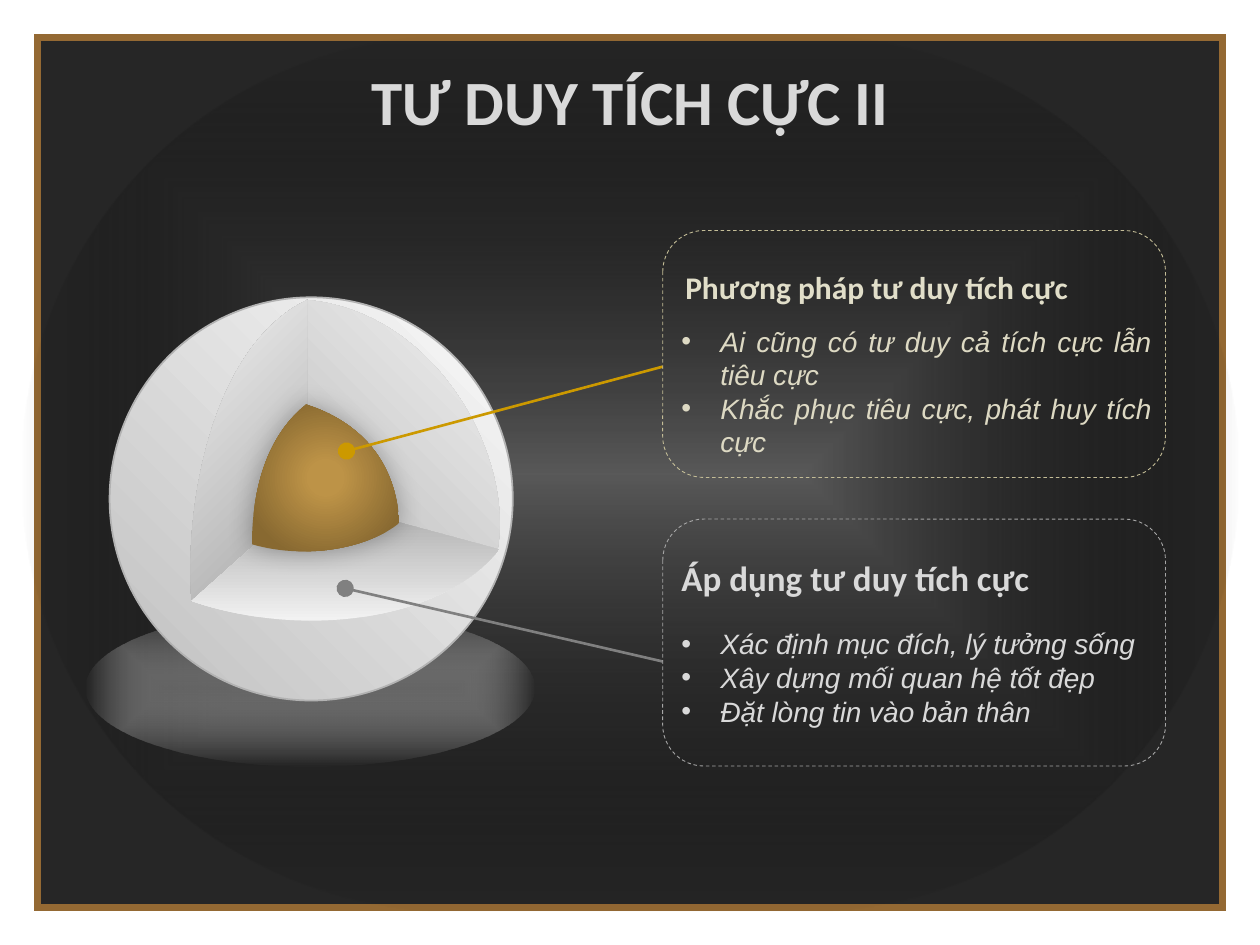
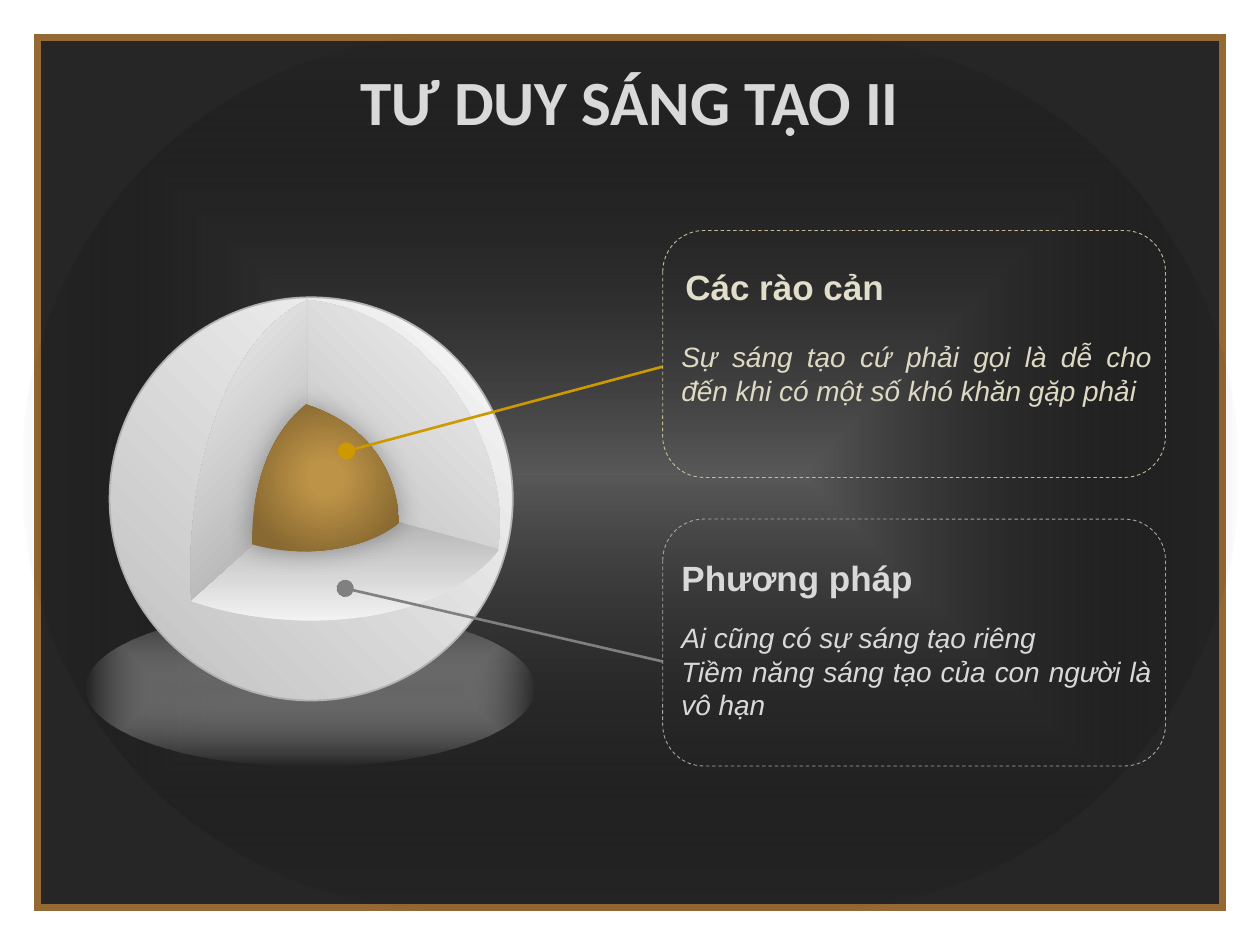
import pptx
import pptx.dml.color
import pptx.enum.dml
import pptx.enum.shapes
import pptx.enum.text
import pptx.oxml
import pptx.oxml.ns
import pptx.util

Inches = pptx.util.Inches
qn = pptx.oxml.ns.qn
SHAPES = pptx.enum.shapes.MSO_SHAPE
ALIGN = pptx.enum.text.PP_ALIGN

LIGHT = "D9D9D9"
SPHERE_BOX = (0.68, 2.36)
CALLOUT_LEFT, CALLOUT_WIDTH, CALLOUT_HEIGHT = 5.26, 3.99, 1.96

UPPER = {
    "top": 1.83, "outline": "C4BD97", "heading_color": "E1DEC9", "body_color": "DDD9C3",
    "heading_box": (0.08, 0.28, 3.58, 0.33), "body_height": 1.01,
    "pointer": "CC9900", "target": (2.75, 3.58), "pointer_end": 1.08,
}
LOWER = {
    "top": 4.12, "outline": "A6A6A6", "heading_color": LIGHT, "body_color": LIGHT,
    "heading_box": (0.05, 0.32, 3.61, 0.29), "body_height": 1.07,
    "pointer": "808080", "target": (2.74, 4.67), "pointer_end": 1.13,
}

WALLS = [
    ((1.75, 0.02), [[(2.77, 0.11), (3.4, 1.24), (3.27, 2)], [(1.75, 1.59)]], "BFBFBF", "F2F2F2", 315),
    ((1.76, 0.02), [[(1.01, 0.38), (0.78, 1.63), (0.84, 2.41)], [(1.76, 1.59)]], "A6A6A6", "F2F2F2", 225),
    ((1.76, 1.59), [[(3.28, 2)], [(2.86, 2.54), (1.78, 2.73), (0.84, 2.41)]], "F2F2F2", "A6A6A6", 270),
]
CORE_START = (1.75, 0.85)
CORE_SEGMENTS = [
    [(2.27, 1.02), (2.47, 1.4), (2.49, 1.79)],
    [(2.26, 1.98), (1.77, 2.09), (1.32, 1.96)],
    [(1.32, 1.61), (1.4, 1.13), CORE_START],
]

SLIDES = [
    {
        "title": "TƯ DUY TÍCH CỰC II",
        "callouts": [
            (UPPER, "Phương pháp tư duy tích cực", "Calibri", 18, 0.77, True,
             ["Ai cũng có tư duy cả tích cực lẫn tiêu cực",
              "Khắc phục tiêu cực, phát huy tích cực"]),
            (LOWER, "Áp dụng tư duy tích cực", "Calibri", 20, 0.72, True,
             ["Xác định mục đích, lý tưởng sống",
              "Xây dựng mối quan hệ tốt đẹp",
              "Đặt lòng tin vào bản thân"]),
        ],
    },
    {
        "title": "TƯ DUY SÁNG TẠO II",
        "callouts": [
            (UPPER, "Các rào cản", "Arial", 20, 0.63, False,
             ["Sự sáng tạo cứ phải gọi là dễ cho đến khi có một số khó khăn gặp phải"]),
            (LOWER, "Phương pháp", "Arial", 20, 0.67, False,
             ["Ai cũng có sự sáng tạo riêng",
              "Tiềm năng sáng tạo của con người là vô hạn"]),
        ],
    },
]


def rgb(color):
    return pptx.dml.color.RGBColor.from_string(color)


def add_xml(parent, xml):
    wrapper = pptx.oxml.parse_xml(f'<a:wrapper {pptx.oxml.ns.nsdecls("a")}>{xml}</a:wrapper>')
    element = wrapper[0]
    parent.append(element)
    return element


def set_gradient(shape, stops, angle=None, kind=None):
    shape.fill.gradient()
    gradient = shape._element.spPr.find(qn("a:gradFill"))
    gradient.clear()
    stop_xml = "".join(
        f'<a:gs pos="{position * 1000}"><a:srgbClr val="{color}">'
        f'<a:alpha val="{opacity * 1000}"/></a:srgbClr></a:gs>'
        for position, color, opacity in stops)
    add_xml(gradient, f"<a:gsLst>{stop_xml}</a:gsLst>")
    if kind:
        add_xml(gradient, f'<a:path path="{kind}"><a:fillToRect l="50000" t="50000" '
                          'r="50000" b="50000"/></a:path>')
    else:
        add_xml(gradient, f'<a:lin ang="{angle * 60000}" scaled="0"/>')


def set_line(shape, color=None, width=1):
    if color is None:
        shape.line.fill.background()
    else:
        shape.line.color.rgb = rgb(color)
        shape.line.width = pptx.util.Pt(width)


def add_preset(slide, preset, box, line=None, width=1):
    shape = slide.shapes.add_shape(preset, *map(Inches, box))
    shape.shadow.inherit = False
    shape.fill.background()
    set_line(shape, line, width)
    return shape


def add_text(slide, box, lines, font_name, size, color, align=ALIGN.LEFT,
             bold=False, italic=False, bullets=False, tight=False):
    frame = slide.shapes.add_textbox(*map(Inches, box)).text_frame
    frame.word_wrap = True
    frame.vertical_anchor = pptx.enum.text.MSO_ANCHOR.MIDDLE
    if tight:
        frame.margin_top = frame.margin_bottom = 0
    frame.text = "\n".join(lines)
    for paragraph in frame.paragraphs:
        paragraph.alignment = align
        if bullets:
            properties = paragraph._p.get_or_add_pPr()
            properties.set("marL", str(Inches(0.31)))
            properties.set("indent", str(-Inches(0.31)))
            add_xml(properties, '<a:buFont typeface="Arial"/>')
            add_xml(properties, '<a:buChar char="•"/>')
        font = paragraph.font
        font.name, font.size = font_name, pptx.util.Pt(size)
        font.bold, font.italic = bold, italic
        font.color.rgb = rgb(color)


def axis_bounds(start, segments, axis):
    values, current = [start[axis]], start
    for segment in segments:
        if len(segment) == 3:
            a, b, c, d = (point[axis] for point in (current, *segment))
            for t in (step / 100 for step in range(101)):
                values.append((1 - t) ** 3 * a + 3 * t * (1 - t) ** 2 * b + 3 * t * t * (1 - t) * c + t ** 3 * d)
        current = segment[-1]
        values.append(current[axis])
    return min(values), max(values)


def curve_outline(shape, segments, left, top, width, height):
    shift_x, shift_y = shape.left - left, shape.top - top
    outline = next(shape._element.iter(qn("a:path")))
    for point in outline.iter(qn("a:pt")):
        point.set("x", str(int(point.get("x")) + shift_x))
        point.set("y", str(int(point.get("y")) + shift_y))
    outline.set("w", str(width))
    outline.set("h", str(height))
    shape.left, shape.top, shape.width, shape.height = left, top, width, height
    lines = iter(outline.findall(qn("a:lnTo")))
    for segment in segments:
        first = next(lines)
        if len(segment) == 3:
            curve = add_xml(outline, "<a:cubicBezTo/>")
            first.addprevious(curve)
            for line in (first, next(lines), next(lines)):
                curve.append(line[0])
                outline.remove(line)


def add_outline(slide, origin, start, segments):
    def place(point):
        return tuple(Inches(offset + value) for offset, value in zip(origin, point))

    builder = slide.shapes.build_freeform(*place(start))
    builder.add_line_segments([place(point) for segment in segments for point in segment], close=True)
    shape = builder.convert_to_shape()
    (x_min, x_max), (y_min, y_max) = (axis_bounds(start, segments, axis) for axis in (0, 1))
    curve_outline(shape, segments, *place((x_min, y_min)), Inches(x_max - x_min), Inches(y_max - y_min))
    shape.shadow.inherit = False
    set_line(shape)
    return shape


def add_backdrop(slide):
    board = add_preset(slide, SHAPES.RECTANGLE, (0.3, 0.3, 9.4, 6.9), "946933", 4)
    add_xml(board.line._get_or_add_ln(), '<a:miter lim="800000"/>')
    board.fill.solid()
    board.fill.fore_color.rgb = rgb("262626")
    glow = add_preset(slide, SHAPES.ROUNDED_RECTANGLE, (0.17, 0.28, 9.67, 6.95))
    glow.adjustments[0] = 0.5
    set_gradient(glow, [(0, "595959", 100), (100, "000000", 0)], kind="shape")


def add_sphere(slide, origin):
    left, top = origin
    floor_shadow = add_preset(slide, SHAPES.OVAL, (left, top + 2.48, 3.56, 1.24))
    set_gradient(floor_shadow, [(0, "808080", 70), (100, "FFFFFF", 0)], kind="shape")
    ball = add_preset(slide, SHAPES.OVAL, (left + 0.19, top, 3.2, 3.2), "B2B2B2", 1)
    set_gradient(ball, [(0, "BFBFBF", 100), (100, "FAFAFA", 100)], angle=315)
    for start, segments, first, last, angle in WALLS:
        wall = add_outline(slide, origin, start, segments)
        set_gradient(wall, [(0, first, 100), (100, last, 100)], angle=angle)
    core = add_outline(slide, origin, CORE_START, CORE_SEGMENTS)
    set_gradient(core, [(16, "BD9347", 100), (80, "886931", 100)], kind="circle")
    effects = core._element.spPr.find(qn("a:effectLst"))
    add_xml(effects, f'<a:outerShdw blurRad="{pptx.util.Pt(15)}" dist="0" dir="0" algn="ctr">'
                     '<a:srgbClr val="000000"><a:alpha val="30000"/></a:srgbClr></a:outerShdw>')


def add_callout(slide, style, heading, heading_font, heading_size, body_top, bullets, lines):
    left, top = CALLOUT_LEFT, style["top"]
    add_text(slide, (left + 0.05, top + body_top, 3.93, style["body_height"]), lines, "Arial", 16,
             style["body_color"], ALIGN.JUSTIFY, italic=True, bullets=bullets, tight=True)
    x, y, width, height = style["heading_box"]
    add_text(slide, (left + x, top + y, width, height), [heading],
             heading_font, heading_size, style["heading_color"], bold=True)
    pointer = slide.shapes.add_connector(
        pptx.enum.shapes.MSO_CONNECTOR.STRAIGHT,
        *map(Inches, (*style["target"], left, top + style["pointer_end"])))
    set_line(pointer, style["pointer"], 1.5)
    add_xml(pointer.line._get_or_add_ln(), '<a:headEnd type="oval" w="lg" len="lg"/>')
    add_xml(pointer._element.spPr, "<a:effectLst/>")
    frame = add_preset(slide, SHAPES.ROUNDED_RECTANGLE,
                       (left, top, CALLOUT_WIDTH, CALLOUT_HEIGHT), style["outline"], 0.5)
    frame.line.dash_style = pptx.enum.dml.MSO_LINE.DASH


def build_slide(presentation, content):
    slide = presentation.slides.add_slide(presentation.slide_layouts[6])
    add_backdrop(slide)
    add_sphere(slide, SPHERE_BOX)
    for callout in content["callouts"]:
        add_callout(slide, *callout)
    add_text(slide, (0.5, 0.44, 9, 0.71), [content["title"]], "Calibri", 36, LIGHT,
             ALIGN.CENTER, bold=True)


def main():
    presentation = pptx.Presentation()
    presentation.slide_width, presentation.slide_height = Inches(10), Inches(7.5)
    for content in SLIDES:
        build_slide(presentation, content)
    presentation.save("out.pptx")


if __name__ == "__main__":
    main()
